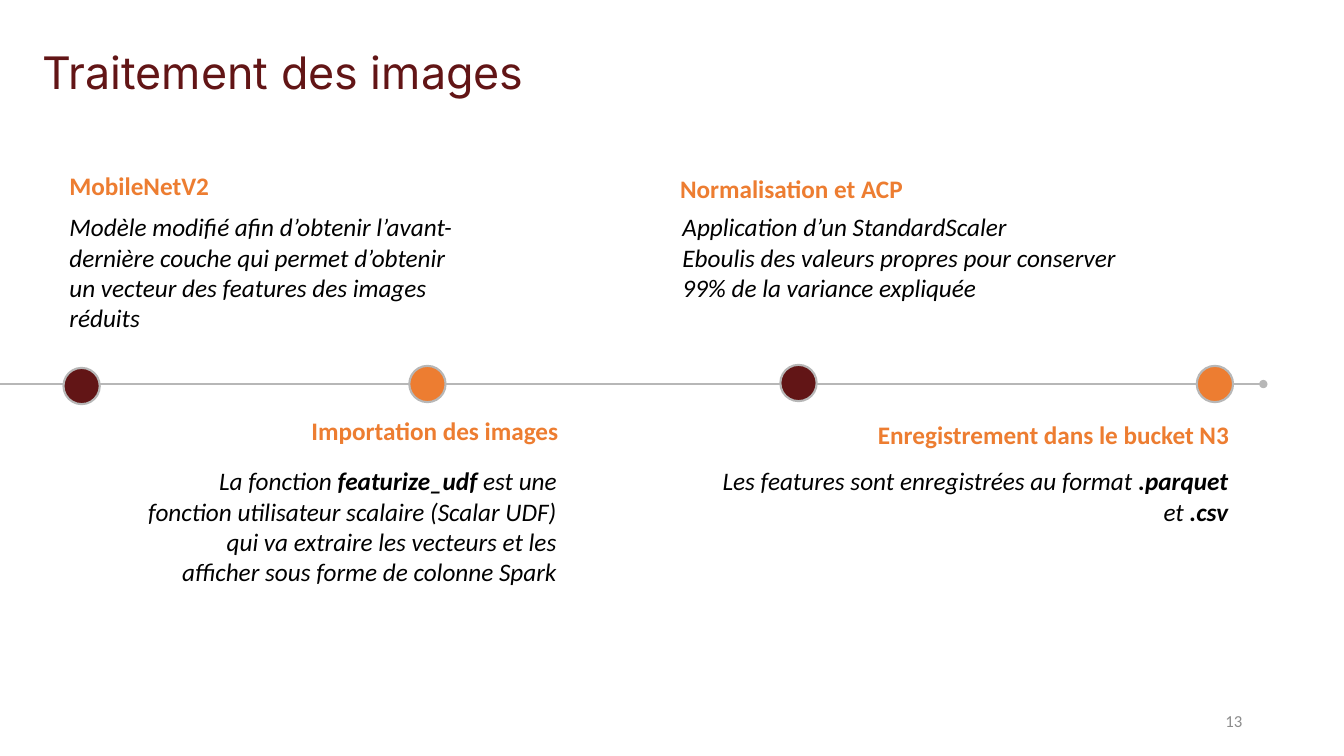
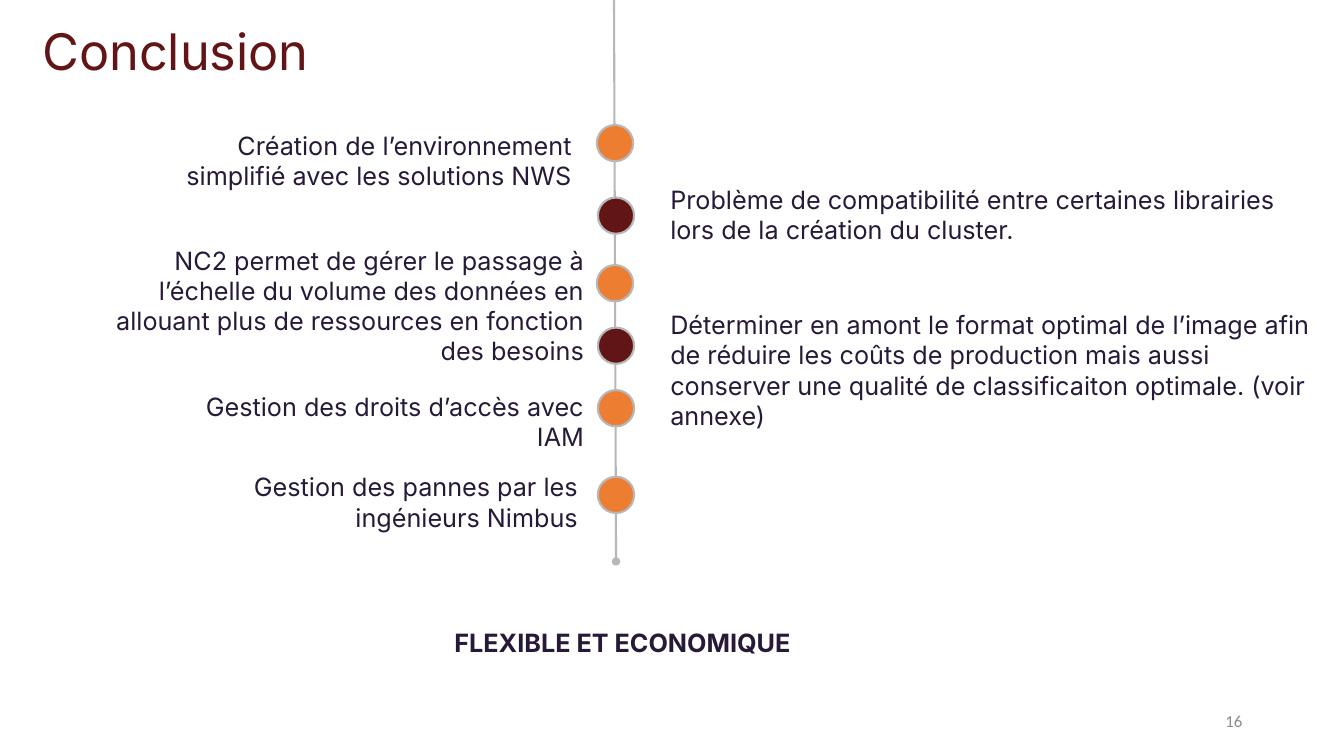
"""Builds the image processing and conclusion timeline slides."""
from dataclasses import dataclass

from lxml.etree import SubElement
from pptx import Presentation
from pptx.dml.color import RGBColor
from pptx.enum.shapes import MSO_CONNECTOR as Connector, MSO_SHAPE as Shape
from pptx.enum.text import MSO_ANCHOR as Anchor, MSO_AUTO_SIZE as AutoSize, PP_ALIGN as Align
from pptx.oxml.ns import qn
from pptx.util import Inches, Pt


@dataclass(frozen=True)
class Theme:
    """Colours, fonts and sizes shared by the slides."""

    maroon: str = "621516"
    orange: str = "ED7D31"
    axis: str = "B7B7B7"
    ink: str = "271A38"
    black: str = "000000"
    muted: str = "8C8C8C"
    heading_font: str = "Inter"
    text_font: str = "Calibri"
    text_size: int = 18
    number_size: int = 12
    line_width: float = 1.5
    dot: float = 0.36


THEME = Theme()
HEADING = dict(font=THEME.text_font, color=THEME.orange, bold=True)
DETAIL = dict(font=THEME.text_font, color=THEME.black, italic=True)
POINT = dict(font=THEME.heading_font, color=THEME.ink)


def rgb(color):
    """Turn a hex string into a colour."""
    return RGBColor.from_string(color)


def write(frame, text, *, font, color, size=THEME.text_size, bold=False,
          italic=False, align=Align.LEFT, spacing=None):
    """Fill a text frame; newlines split paragraphs and ** marks bold parts."""
    frame.word_wrap = True
    for index, line in enumerate(text.split("\n")):
        paragraph = frame.add_paragraph() if index else frame.paragraphs[0]
        paragraph.alignment = align
        paragraph.line_spacing = spacing
        for position, part in enumerate(line.split("**")):
            if part:
                run = paragraph.add_run()
                run.text = part
                run.font.name = font
                run.font.size = Pt(size)
                run.font.bold = bold or position % 2 == 1
                run.font.italic = italic
                run.font.color.rgb = rgb(color)


def add_text(slide, text, left, top, width, height=0.4, anchor=Anchor.TOP, **style):
    """Add a wrapped text box that grows with its text."""
    box = slide.shapes.add_textbox(Inches(left), Inches(top), Inches(width), Inches(height))
    frame = box.text_frame
    write(frame, text, **style)
    frame.vertical_anchor = anchor
    frame.auto_size = AutoSize.SHAPE_TO_FIT_TEXT


def add_axis(slide, start, end):
    """Draw the timeline with a round end."""
    axis = slide.shapes.add_connector(Connector.STRAIGHT, *map(Inches, start + end))
    axis.line.color.rgb = rgb(THEME.axis)
    axis.line.width = Pt(THEME.line_width)
    SubElement(axis.line._get_or_add_ln(), qn("a:tailEnd"), type="oval")
    SubElement(axis._element.spPr, qn("a:effectLst"))


def add_dot(slide, left, top, color):
    """Add one milestone on the timeline."""
    dot = slide.shapes.add_shape(
        Shape.OVAL, Inches(left), Inches(top), Inches(THEME.dot), Inches(THEME.dot))
    dot.shadow.inherit = False
    dot.fill.solid()
    dot.fill.fore_color.rgb = rgb(color)
    dot.line.color.rgb = rgb(THEME.axis)
    dot.line.width = Pt(THEME.line_width)


def add_slide(deck, title, number, title_top, title_size):
    """Add a slide with its title and page number."""
    slide = deck.slides.add_slide(deck.slide_layouts[5])
    heading = slide.shapes.title
    heading.left, heading.top = Inches(0.32), Inches(title_top)
    heading.width, heading.height = Inches(11.5), Inches(0.77)
    heading.text_frame.vertical_anchor = Anchor.MIDDLE
    write(heading.text_frame, title, font=THEME.heading_font, color=THEME.maroon,
          size=title_size, spacing=0.9)
    heading.text_frame.auto_size = AutoSize.NONE
    add_text(slide, str(number), 9.42, 6.95, 3, anchor=Anchor.MIDDLE, align=Align.RIGHT,
             font=THEME.text_font, color=THEME.muted, size=THEME.number_size)
    return slide


def build_processing(deck):
    """Build the horizontal timeline of the image processing steps."""
    slide = add_slide(deck, "Traitement des images", 13, 0.36, 32)
    add_axis(slide, (0, 3.81), (12.53, 3.81))
    for left, top, color in (
        (0.63, 3.65, THEME.maroon),
        (4.06, 3.63, THEME.orange),
        (7.74, 3.62, THEME.maroon),
        (11.87, 3.63, THEME.orange),
    ):
        add_dot(slide, left, top, color)
    for text, left, top, width, align in (
        ("MobileNetV2", 0.59, 1.64, 1.73, Align.LEFT),
        ("Importation des images", 2.99, 4.07, 2.82, Align.LEFT),
        ("Normalisation et ACP", 6.51, 1.67, 2.68, Align.CENTER),
        ("Enregistrement dans le bucket N3", 5.62, 4.11, 6.67, Align.RIGHT),
    ):
        add_text(slide, text, left, top, width, align=align, **HEADING)
    for text, left, top, width, height, align in (
        ("Modèle modifié afin d’obtenir l’avant-dernière couche qui permet d’obtenir "
         "un vecteur des features des images réduits", 0.59, 2.05, 4.19, 1.31, Align.LEFT),
        ("La fonction **featurize_udf **est une fonction utilisateur scalaire (Scalar UDF) "
         "qui va extraire les vecteurs et les afficher sous forme de colonne Spark",
         1.35, 4.57, 4.27, 1.31, Align.RIGHT),
        ("Application d’un StandardScaler\nEboulis des valeurs propres pour conserver "
         "99% de la variance expliquée", 6.67, 2.05, 4.75, 1.31, Align.LEFT),
        ("Les features sont enregistrées au format **.parquet **et **.csv**",
         7.02, 4.57, 5.26, 1.01, Align.RIGHT),
    ):
        add_text(slide, text, left, top, width, height, align=align, **DETAIL)


def build_conclusion(deck):
    """Build the vertical timeline of strengths and difficulties."""
    slide = add_slide(deck, "Conclusion", 16, 0.15, 36)
    add_axis(slide, (6.09, 0), (6.11, 5.57))
    for left, top, color in (
        (5.92, 1.24, THEME.orange),
        (5.93, 1.96, THEME.maroon),
        (5.92, 2.63, THEME.orange),
        (5.93, 3.25, THEME.maroon),
        (5.93, 3.87, THEME.orange),
        (5.93, 4.73, THEME.orange),
    ):
        add_dot(slide, left, top, color)
    for text, left, top, width, height in (
        ("Création de l’environnement simplifié avec les solutions NWS", 1.31, 1.24, 4.46, 0.71),
        ("NC2 permet de gérer le passage à l’échelle du volume des données en allouant "
         "plus de ressources en fonction des besoins", 0.97, 2.38, 4.92, 1.01),
        ("Gestion des droits d’accès avec IAM", 1.86, 3.83, 4.03, 0.4),
        ("Gestion des pannes par les ingénieurs Nimbus", 1.92, 4.63, 3.91, 0.71),
    ):
        add_text(slide, text, left, top, width, height, align=Align.RIGHT, **POINT)
    for text, top, height in (
        ("Problème de compatibilité entre certaines librairies\n"
         "lors de la création du cluster.", 1.78, 0.71),
        ("Déterminer en amont le format optimal de l’image afin de réduire les coûts de "
         "production mais aussi conserver une qualité de classificaiton optimale. "
         "(voir annexe)", 3.02, 1.01),
    ):
        add_text(slide, text, 6.55, top, 6.67, height, **POINT)
    add_text(slide, "FLEXIBLE ET ECONOMIQUE", 4.16, 6.17, 4.03,
             align=Align.CENTER, bold=True, **POINT)


def main():
    """Build and save the deck."""
    deck = Presentation()
    deck.slide_width, deck.slide_height = Inches(13.33), Inches(7.5)
    build_processing(deck)
    build_conclusion(deck)
    deck.save("out.pptx")


if __name__ == "__main__":
    main()
